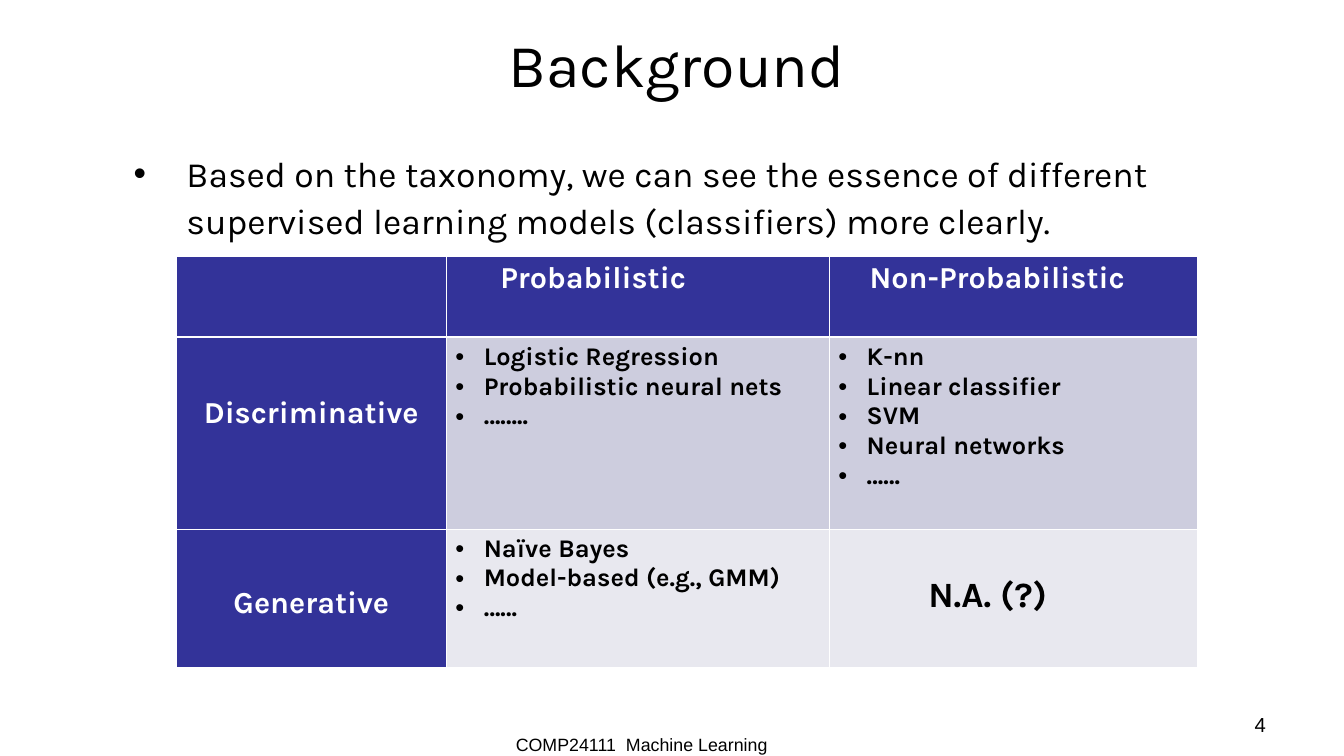
from lxml import etree
from pptx import Presentation
from pptx.dml.color import RGBColor
from pptx.enum.text import MSO_ANCHOR, MSO_AUTO_SIZE, PP_ALIGN
from pptx.oxml.ns import qn
from pptx.util import Cm, Pt

LEFT, MID, RIGHT = PP_ALIGN.LEFT, PP_ALIGN.CENTER, PP_ALIGN.RIGHT
TOP, CENTER = MSO_ANCHOR.TOP, MSO_ANCHOR.MIDDLE
FIXED = MSO_AUTO_SIZE.NONE


class Theme:
    font, plain = "Karla", "Arial"
    black, white = "000000", "FFFFFF"
    navy, lilac, pale = "333399", "CDCDDE", "E8E8EF"
    title, body, head, item, page, foot = 48, 28, 24, 20, 16, 14
    thin, thick = 0.45, 1.47


def write(frame, text, size, color=Theme.black, font=Theme.font, bold=False,
          align=LEFT, indent=0, before=0, spacing=1.0):
    for n, line in enumerate(text.split("\n")):
        para = frame.add_paragraph() if n else frame.paragraphs[0]
        para.alignment = align
        para.space_before = Pt(before)
        para.line_spacing = spacing
        run = para.add_run()
        run.text = line
        run.font.size = Pt(size)
        run.font.name = font
        run.font.bold = bold
        run.font.color.rgb = RGBColor.from_string(color)
        if indent:
            props = para._p.get_or_add_pPr()
            props.set("marL", str(Cm(indent)))
            props.set("indent", str(-Cm(indent)))
            tint = etree.SubElement(props, qn("a:buClr"))
            etree.SubElement(tint, qn("a:srgbClr"), val=Theme.black)
            etree.SubElement(props, qn("a:buFont"), typeface=Theme.plain)
            etree.SubElement(props, qn("a:buChar"), char="•")


def place(shape, left, top, width, height):
    shape.left, shape.top = Cm(left), Cm(top)
    shape.width, shape.height = Cm(width), Cm(height)
    frame = shape.text_frame
    frame.auto_size = FIXED
    frame.word_wrap = True
    frame.margin_left = frame.margin_right = Cm(0.28)
    frame.margin_top = frame.margin_bottom = Cm(0.15)
    return frame


deck = Presentation()
deck.slide_width, deck.slide_height = Cm(37.34), Cm(21)
slide = deck.slides.add_slide(deck.slide_layouts[1])
shapes = slide.shapes

title = place(shapes.title, 4.5, 0, 28.6, 3.5)
title.vertical_anchor = CENTER
write(title, "Background", Theme.title, align=MID)

body = place(slide.placeholders[1], 3.43, 3.94, 31.55, 15.7)
body.vertical_anchor = TOP
write(body, "Based on the taxonomy, we can see the essence of different "
      "supervised learning models (classifiers) more clearly.",
      Theme.body, indent=1.47, before=7, spacing=1.1)

foot = place(shapes.add_textbox(0, 0, 0, 0), 14.05, 20.24, 7.6, 0.86)
foot.word_wrap = False
write(foot, "COMP24111  Machine Learning", Theme.foot, font=Theme.plain)

page = place(shapes.add_textbox(0, 0, 0, 0), 26.75, 19.63, 8.7, 1.3)
write(page, "4", Theme.page, font=Theme.plain, align=RIGHT)

widths = [7.5, 10.64, 10.23]
heights = [2.26, 5.33, 3.84]
grid = shapes.add_table(3, 3, Cm(4.9), Cm(7.11),
                        Cm(sum(widths)), Cm(sum(heights))).table
for col, width in zip(grid.columns, widths):
    col.width = Cm(width)
for row, height in zip(grid.rows, heights):
    row.height = Cm(height)

head = dict(size=Theme.head, color=Theme.white)
side = dict(head, align=MID)
item = dict(size=Theme.item, indent=0.79)
answer = dict(size=Theme.body)

cells = [
    [("", head, 0.25, 0.13),
     ("Probabilistic", head, 1.5, 0.13),
     ("Non-Probabilistic", head, 1.12, 0.13)],
    [("Discriminative", side, 0.25, 1.62),
     ("Logistic Regression\nProbabilistic neural nets\n……..", item, 0.25, 0.13),
     ("K-nn\nLinear classifier\nSVM\nNeural networks\n……", item, 0.25, 0.13)],
    [("Generative", side, 0.25, 1.57),
     ("Naïve Bayes\nModel-based (e.g., GMM)\n……", item, 0.25, 0.13),
     ("N.A. (?)", answer, 2.75, 1.28)],
]
bands = [Theme.navy, Theme.lilac, Theme.pale]

for r, row in enumerate(cells):
    for c, (text, style, left, top) in enumerate(row):
        cell = grid.cell(r, c)
        cell.margin_left, cell.margin_top = Cm(left), Cm(top)
        cell.vertical_anchor = TOP
        props = cell._tc.get_or_add_tcPr()
        for edge in "LRTB":
            heavy = (r, edge) in [(0, "B"), (1, "T")]
            line = etree.SubElement(
                props, qn("a:ln" + edge),
                w=str(Pt(Theme.thick if heavy else Theme.thin)))
            fill = etree.SubElement(line, qn("a:solidFill"))
            etree.SubElement(fill, qn("a:srgbClr"), val=Theme.white)
        cell.fill.solid()
        cell.fill.fore_color.rgb = RGBColor.from_string(
            bands[r] if c else Theme.navy)
        if text:
            write(cell.text_frame, text, bold=True, **style)

deck.save("out.pptx")
